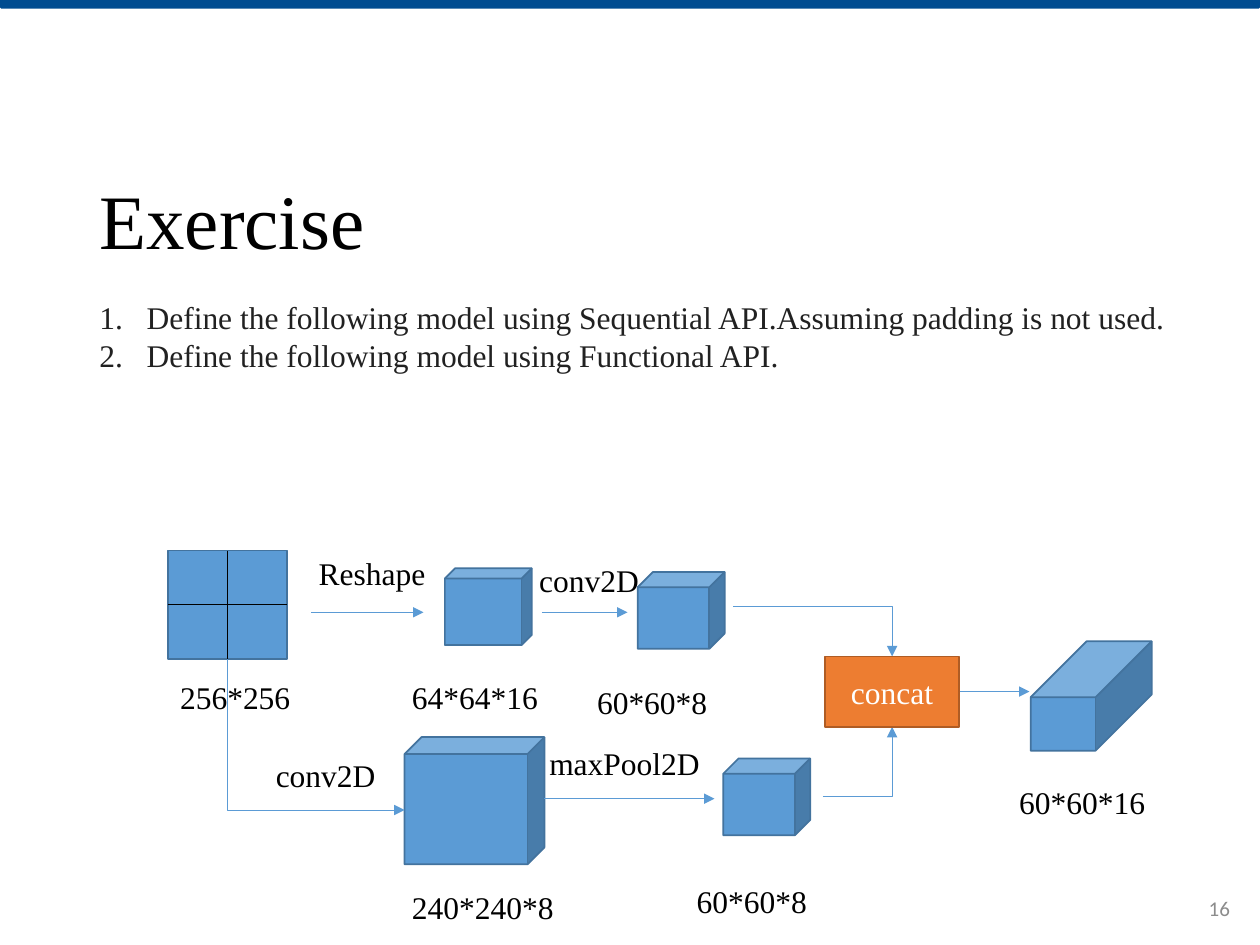
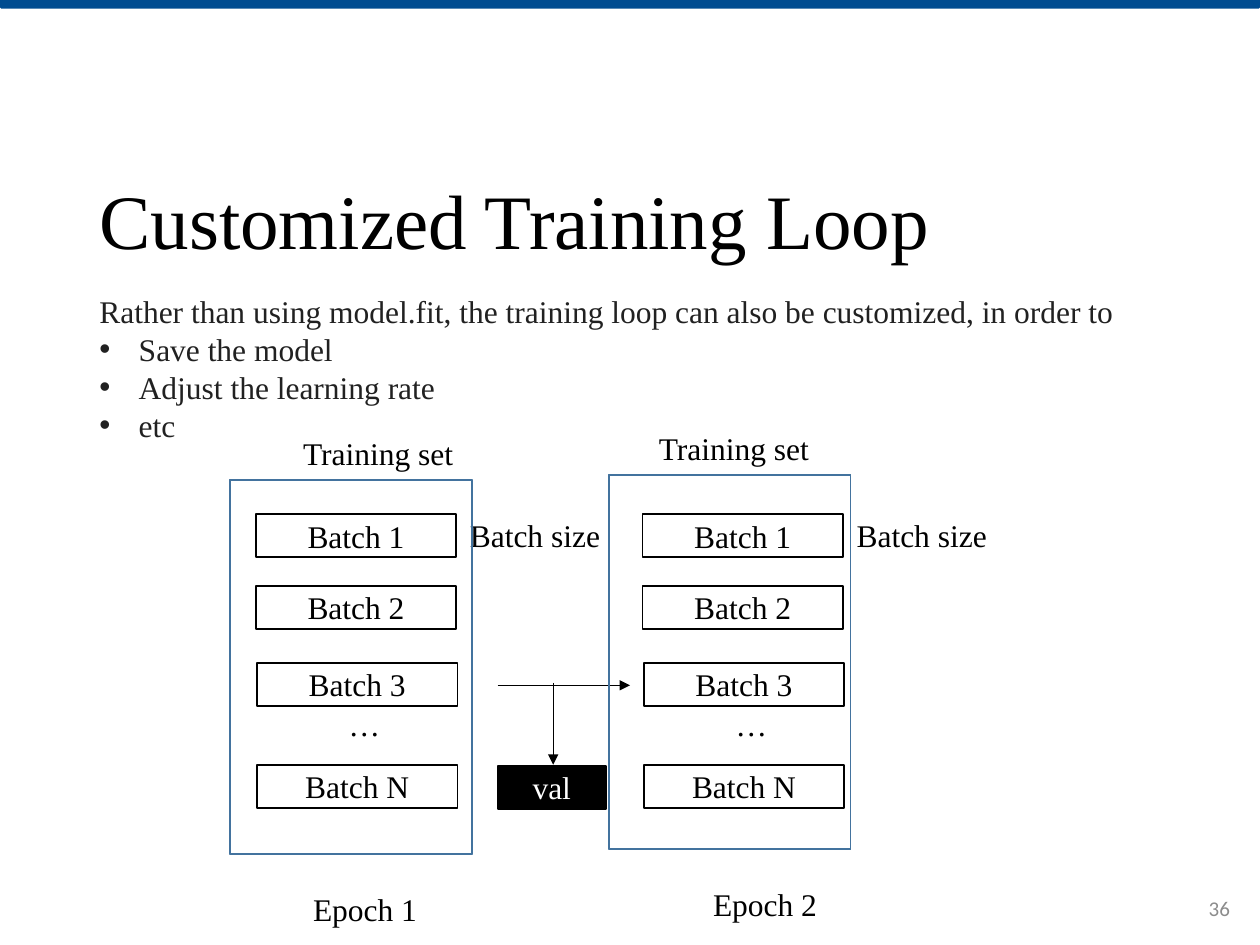
from lxml import etree
from pptx import Presentation
from pptx import util as u
from pptx.dml.color import RGBColor
from pptx.enum import shapes, text
from pptx.oxml import ns

# Shared colours and fonts
BAND_BLUE = RGBColor(0x00, 0x4C, 0x90)
BLUE = RGBColor(0x5B, 0x9B, 0xD5)
DARK_BLUE = RGBColor(0x43, 0x73, 0x9E)
ORANGE = RGBColor(0xED, 0x7D, 0x31)
DARK_ORANGE = RGBColor(0xAF, 0x5C, 0x24)
BLACK = RGBColor(0x00, 0x00, 0x00)
BODY_GREY = RGBColor(0x21, 0x21, 0x21)
PAGE_GREY = RGBColor(0x8C, 0x8C, 0x8C)
WHITE = RGBColor(0xFF, 0xFF, 0xFF)
SERIF = "Times New Roman"
SANS = "Calibri"

SHAPE = shapes.MSO_SHAPE
ALIGN = text.PP_ALIGN
ANCHOR = text.MSO_ANCHOR
SLIDE_WIDTH, SLIDE_HEIGHT = 720, 540


# Basic parts; every length is a number of points

def points(*values):
    return [u.Pt(value) for value in values]


def write(shape, words, size=18, color=BLACK, font=SERIF, align=ALIGN.LEFT,
          anchor=ANCHOR.TOP, wrap=True, spacing=None):
    """Fill a shape with text, one paragraph for each line."""
    frame = shape.text_frame
    frame.word_wrap = wrap
    frame.vertical_anchor = anchor
    frame.text = words
    for paragraph in frame.paragraphs:
        paragraph.alignment = align
        paragraph.line_spacing = spacing
        paragraph.font.size = u.Pt(size)
        paragraph.font.name = font
        paragraph.font.color.rgb = color
    return frame


def add_text(slide, box, words, **style):
    return write(slide.shapes.add_textbox(*points(*box)), words, **style)


def add_box(slide, box, fill=None, line=None, kind=SHAPE.RECTANGLE, adjust=None):
    shape = slide.shapes.add_shape(kind, *points(*box))
    shape.shadow.inherit = False
    if fill is None:
        shape.fill.background()
    else:
        shape.fill.solid()
        shape.fill.fore_color.rgb = fill
    if line is None:
        shape.line.fill.background()
    else:
        shape.line.color.rgb = line
        shape.line.width = u.Pt(1)
    if adjust is not None:
        shape.adjustments[0] = adjust
    return shape


def add_text_box(slide, box, words, fill, line, color):
    shape = add_box(slide, box, fill, line)
    write(shape, words, color=color, align=ALIGN.CENTER, anchor=ANCHOR.MIDDLE)


def add_line(slide, start, end, color=BLUE, arrow=True, kind=shapes.MSO_CONNECTOR.STRAIGHT):
    connector = slide.shapes.add_connector(kind, *points(*start, *end))
    connector.line.color.rgb = color
    connector.line.width = u.Pt(0.5)
    properties = connector._element.spPr
    if arrow:
        outline = properties.find(ns.qn("a:ln"))
        etree.SubElement(outline, ns.qn("a:tailEnd"), type="triangle")
    etree.SubElement(properties, ns.qn("a:effectLst"))
    return connector


def add_elbow(slide, start, end, down_first=False):
    """Arrow with one corner: across then up or down, or down then right."""
    if down_first:
        # A quarter turn of a mirrored elbow swaps its two legs
        middle_x, middle_y = (start[0] + end[0]) / 2, (start[1] + end[1]) / 2
        half_width, half_height = (end[1] - start[1]) / 2, (end[0] - start[0]) / 2
        start = middle_x + half_width, middle_y - half_height
        end = middle_x - half_width, middle_y + half_height
    connector = add_line(slide, start, end, kind=shapes.MSO_CONNECTOR.ELBOW)
    properties = connector._element.spPr
    properties.find(ns.qn("a:prstGeom")).set("prst", "bentConnector2")
    if down_first:
        properties.find(ns.qn("a:xfrm")).set("rot", str(270 * 60000))


def add_bullet(paragraph, indent, numbered=False):
    properties = paragraph._p.get_or_add_pPr()
    properties.set("marL", str(u.Pt(indent)))
    properties.set("indent", str(-u.Pt(indent)))
    if numbered:
        etree.SubElement(properties, ns.qn("a:buFont"), typeface="+mj-lt")
        etree.SubElement(properties, ns.qn("a:buAutoNum"), type="arabicPeriod")
    else:
        etree.SubElement(properties, ns.qn("a:buFont"), typeface="Arial")
        etree.SubElement(properties, ns.qn("a:buChar"), char="•")


# Frame that both slides share

def new_slide(presentation, title, number):
    slide = presentation.slides.add_slide(presentation.slide_layouts[6])
    band = add_box(slide, (0, 0, SLIDE_WIDTH, 5), BAND_BLUE,
                   kind=SHAPE.SNIP_2_SAME_RECTANGLE)
    band.rotation = 180
    add_text(slide, (49.7, 89.3, 572.4, 78.5), title, size=44,
             anchor=ANCHOR.MIDDLE, spacing=0.9)
    add_text(slide, (547.9, 504.7, 162, 28.8), str(number), size=12, font=SANS,
             color=PAGE_GREY, align=ALIGN.RIGHT, anchor=ANCHOR.MIDDLE)
    return slide


# Exercise slide

def model_diagram(slide, left, top):
    def at(x, y):
        return left + x, top + y

    # Input split into four tiles
    width, height = 68.4, 61.9
    add_box(slide, (left, top, width, height), BLUE, DARK_BLUE)
    add_line(slide, at(0, height / 2), at(width, height / 2), BLACK, arrow=False)
    add_line(slide, at(width / 2, 0), at(width / 2, height), BLACK, arrow=False)

    # Tensors
    small = 49.7, 43.9
    for x, y, size, depth in (
        (158.4, 10.1, small, 0.133),
        (268.6, 12.2, small, 0.2),
        (135.4, 106.6, (79.9, 72.7), 0.133),
        (317.5, 118.8, small, 0.2),
        (493.2, 51.8, (69.1, 62.6), 0.512),
    ):
        add_box(slide, (*at(x, y), *size), BLUE, DARK_BLUE, SHAPE.CUBE, depth)

    # Tensor sizes and operations
    for x, y, words in (
        (0, 69.1, "256*256"),
        (132.5, 69.1, "64*64*16"),
        (238.3, 72, "60*60*8"),
        (479.5, 129.6, "60*60*16"),
        (132.5, 189.4, "240*240*8"),
        (295.2, 185.8, "60*60*8"),
        (79.2, -1.4, "Reshape"),
        (205.2, 2.2, "conv2D"),
        (54.7, 113.8, "conv2D"),
        (211, 107.3, "maxPool2D"),
    ):
        add_text(slide, (*at(x, y), 101.5, 28.8), words)

    # Arrows
    for x_start, x_end, y in (
        (82.1, 146.2, 35.3),
        (213.8, 262.8, 35.3),
        (452.2, 492.5, 80.6),
        (215.3, 312.5, 141.8),
    ):
        add_line(slide, at(x_start, y), at(x_end, y))
    add_elbow(slide, at(34.4, height), at(135.4, 148.3), down_first=True)
    add_elbow(slide, at(323.3, 31.7), at(414, 60.5))
    add_elbow(slide, at(374.4, 140.4), at(414, 100.8))

    add_text_box(slide, (*at(375.8, 60.5), 76.3, 40.3), "concat",
                 ORANGE, DARK_ORANGE, WHITE)


def exercise_slide(presentation):
    slide = new_slide(presentation, "Exercise", 16)
    tasks = add_text(
        slide, (49.7, 167, 641.5, 72.7),
        "Define the following model using Sequential API.Assuming padding is not used.\n"
        "Define the following model using Functional API.", color=BODY_GREY)
    for paragraph in tasks.paragraphs:
        add_bullet(paragraph, 27, numbered=True)
    model_diagram(slide, 95.8, 314.6)


# Training loop slide

def batch_column(slide, left, top):
    add_text(slide, (left + 115.2, top - 2.2, 90, 28.8), "Batch size", wrap=False)
    dots = add_box(slide, (left + 46, top + 105.8, 32.4, 28.8), WHITE)
    write(dots, "…", wrap=False)
    for name, x, y in (("1", 0, 0), ("2", 0, 41), ("3", 0.7, 85), ("N", 0.7, 143.3)):
        add_text_box(slide, (left + x, top + y, 114.5, 24.5), f"Batch {name}",
                     WHITE, BLACK, BLACK)


def epoch_frame(slide, left, top, number, title_indent, name_indent):
    add_text(slide, (left + title_indent, top - 29.5, 105.8, 28.8),
             "Training set", wrap=False)
    add_box(slide, (left, top, 138.2, 213.8), BLUE, DARK_BLUE, SHAPE.FRAME, 0)
    add_text(slide, (left + name_indent, top + 230.8, 74.9, 28.8),
             f"Epoch {number}", wrap=False)


def validation_step(slide, left, top):
    add_line(slide, (left, top + 1.4), (left + 75.6, top + 1.4), BLACK)
    add_line(slide, (left + 31.7, top), (left + 31.7, top + 46.8), BLACK)
    add_text_box(slide, (left, top + 47.5, 61.9, 24.5), "val", BLACK, BLACK, WHITE)


def training_loop_slide(presentation):
    slide = new_slide(presentation, "Customized Training Loop", 36)
    reasons = add_text(
        slide, (49.7, 163.4, 641.5, 94.3),
        "Rather than using model.fit, the training loop can also be customized, in order to\n"
        "Save the model\nAdjust the learning rate\netc", color=BODY_GREY)
    for paragraph in reasons.paragraphs[1:]:
        add_bullet(paragraph, 22.5)
    for left in (146.2, 367.2):
        batch_column(slide, left, 293.8)
    validation_step(slide, 284.4, 390.2)
    epoch_frame(slide, 131.5, 274.1, 1, title_indent=34.6, name_indent=40.3)
    epoch_frame(slide, 347.8, 271.4, 2, title_indent=21.6, name_indent=52.6)


def main():
    presentation = Presentation()
    presentation.slide_width, presentation.slide_height = points(SLIDE_WIDTH, SLIDE_HEIGHT)
    exercise_slide(presentation)
    training_loop_slide(presentation)
    presentation.save("out.pptx")


if __name__ == "__main__":
    main()
